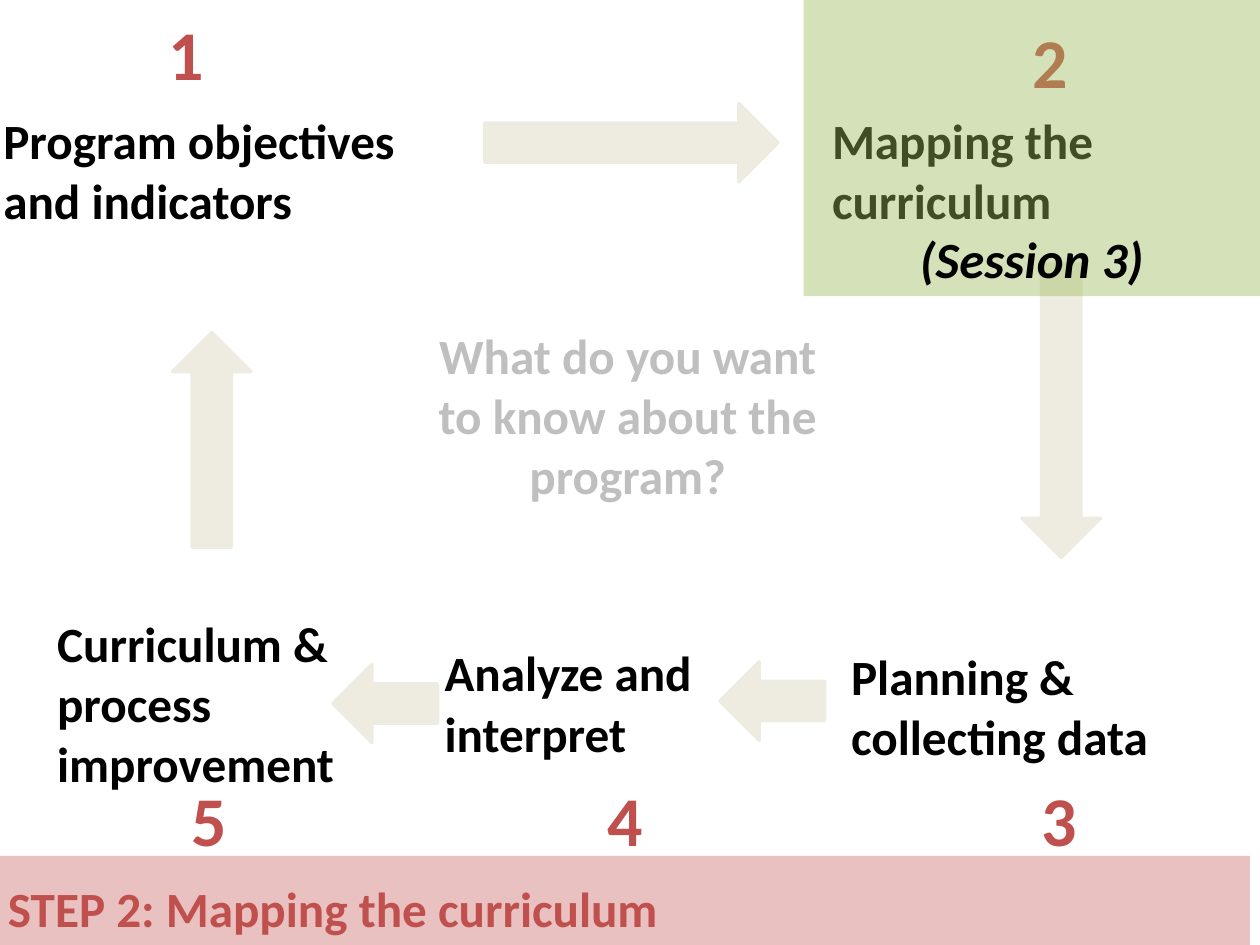
from lxml.etree import SubElement
from pptx import Presentation
from pptx.dml.color import RGBColor
from pptx.enum.shapes import MSO_SHAPE as Shape
from pptx.enum.text import MSO_AUTO_SIZE as AutoSize, PP_ALIGN as Align
from pptx.oxml.ns import qn
from pptx.util import Pt

BLACK = RGBColor(0x00, 0x00, 0x00)
GRAY = RGBColor(0xBF, 0xBF, 0xBF)
RED = RGBColor(0xC0, 0x50, 0x4D)
GREEN = RGBColor(0x9B, 0xBB, 0x59)
BEIGE = RGBColor(0xEE, 0xEC, 0xE1)

WIDTH, HEIGHT = 793.7, 595.28
BODY_SIZE, NUMBER_SIZE, SESSION_SIZE = 31, 44, 32
NUMBER_WIDTH, NUMBER_HEIGHT = 38.2, 62.6
ARROW_THICKNESS = 49.7

STEPS = [
    ("1", "Program objectives and indicators", (-5.8, 64.6, 278, 85), (104, -63)),
    ("2", "Mapping the curriculum", (516.2, 64.6, 239, 85), (126.4, -57.7)),
    ("3", "Planning & collecting data", (528.2, 402.2, 278, 84), (119.8, 82)),
    ("4", "Analyze and interpret", (272.2, 400.1, 203.8, 85), (102.5, 84.1)),
    ("5", "Curriculum & process improvement", (28.1, 381.4, 213.1, 123.1), (84.9, 102.8)),
]
ARROWS = [
    (305.3, 65, 185, 0),
    (576, 234, 185, 90),
    (453.4, 416.7, 66.2, 180),
    (209.5, 418.3, 66.2, 180),
    (65.7, 252.2, 135.4, 270),
]


def add_text(slide, box, text, size, color, wrap=True, align=Align.LEFT,
             italic=False, insets=(7.9, 4)):
    frame = slide.shapes.add_textbox(*map(Pt, box)).text_frame
    frame.word_wrap = wrap
    frame.auto_size = AutoSize.SHAPE_TO_FIT_TEXT
    frame.margin_left = frame.margin_right = Pt(insets[0])
    frame.margin_top = frame.margin_bottom = Pt(insets[1])
    paragraph = frame.paragraphs[0]
    paragraph.alignment = align
    paragraph.line_spacing = 1.02
    run = paragraph.add_run()
    run.text = text
    run.font.name = "Calibri"
    run.font.size = Pt(size)
    run.font.bold = True
    run.font.italic = italic
    run.font.color.rgb = color


def add_panel(slide, box, color, opacity):
    panel = slide.shapes.add_shape(Shape.RECTANGLE, *map(Pt, box))
    panel.shadow.inherit = False
    panel.fill.solid()
    panel.fill.fore_color.rgb = color
    panel.line.fill.background()
    tint = panel.fill._xPr.find(qn("a:solidFill"))[0]
    SubElement(tint, qn("a:alpha")).set("val", str(opacity * 1000))


def add_step(slide, box, number, label, number_offset):
    left, top = box[:2]
    across, down = number_offset
    add_text(slide, box, label, BODY_SIZE, BLACK)
    number_box = (left + across, top + down, NUMBER_WIDTH, NUMBER_HEIGHT)
    add_text(slide, number_box, number, NUMBER_SIZE, RED, wrap=False)


def add_arrow(slide, box, rotation):
    arrow = slide.shapes.add_shape(Shape.RIGHT_ARROW, *map(Pt, box))
    arrow.rotation = rotation
    arrow.shadow.inherit = False
    arrow.fill.solid()
    arrow.fill.fore_color.rgb = BEIGE
    arrow.line.color.rgb = BEIGE
    arrow.line.width = Pt(2)


def add_highlight(slide, box):
    left, top, width, height = box
    add_panel(slide, box, GREEN, 42)
    session_box = (left + 66.2, top + height - 47.5, 164.9, 46.8)
    add_text(slide, session_box, "(Session 3)", SESSION_SIZE, BLACK,
             wrap=False, italic=True, insets=(7.2, 3.6))


def add_banner(slide, box):
    left, top, width, height = box
    add_panel(slide, box, RED, 35)
    add_text(slide, (left - 2.9, top + 9.7, width + 8.6, 46.1),
             "STEP 2: Mapping the curriculum", BODY_SIZE, RED)


def main():
    deck = Presentation()
    deck.slide_width, deck.slide_height = Pt(WIDTH), Pt(HEIGHT)
    slide = deck.slides.add_slide(deck.slide_layouts[6])

    for left, top, length, rotation in ARROWS:
        add_arrow(slide, (left, top, length, ARROW_THICKNESS), rotation)
    for number, label, box, number_offset in STEPS:
        add_step(slide, box, number, label, number_offset)
    add_text(slide, (256.3, 200, 278, 123.1),
             "What do you want to know about the program?",
             BODY_SIZE, GRAY, align=Align.CENTER)
    add_highlight(slide, (506.2, 0, WIDTH - 506.2, 186.5))
    add_banner(slide, (0, 539.1, 787.4, HEIGHT - 539.1))

    deck.save("out.pptx")


if __name__ == "__main__":
    main()
